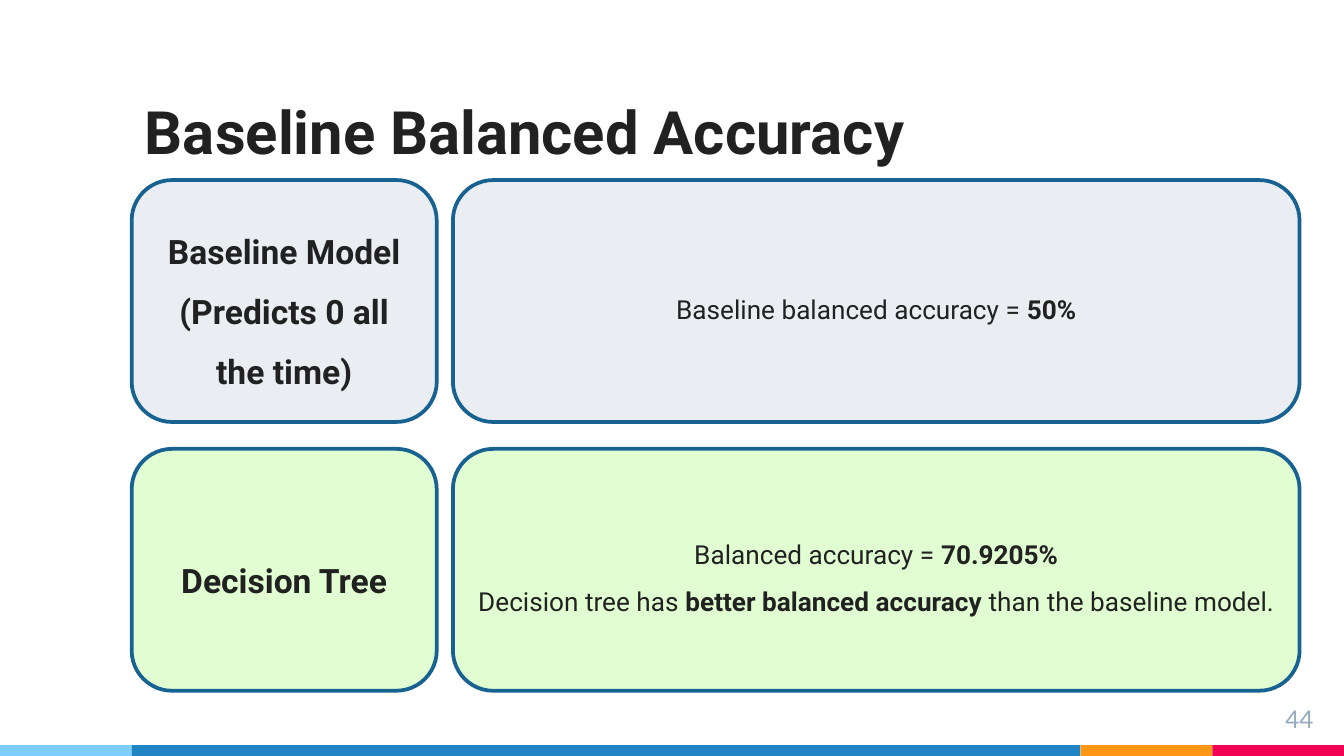
"""Build the slide comparing baseline and decision tree balanced accuracy."""
import pptx
import pptx.dml.color
import pptx.enum.shapes
import pptx.enum.text
import pptx.util
from dataclasses import dataclass


@dataclass(frozen=True)
class Theme:
    font: str = "Roboto"
    number_font: str = "Lato"
    ink: str = "212121"
    number_ink: str = "97ABBC"
    outline: str = "186292"
    baseline_fill: str = "EAEEF2"
    tree_fill: str = "E1FED2"
    stripe: tuple = ("7ECEFD", "2185C5", "FF9715", "F20253")
    title_size: int = 32
    label_size: int = 18
    body_size: int = 14
    number_size: int = 13


theme = Theme()
color = pptx.dml.color.RGBColor.from_string
inches = pptx.util.Inches
align = pptx.enum.text.PP_ALIGN
anchor = pptx.enum.text.MSO_ANCHOR
shape_kind = pptx.enum.shapes.MSO_SHAPE

slide_width = 10
slide_height = slide_width * 9 / 16
margin = 0.98
stripe_height = 0.08
columns = [(margin, 2.27), (3.37, 6.3)]
first_row, row_height, row_gap = 1.34, 1.8, 0.2

presentation = pptx.Presentation()
presentation.slide_width = inches(slide_width)
presentation.slide_height = inches(slide_height)
slide = presentation.slides.add_slide(presentation.slide_layouts[6])


def add_box(kind, left, top, width, height, fill):
    shape = slide.shapes.add_shape(kind, inches(left), inches(top), inches(width), inches(height))
    shape.shadow.inherit = False
    shape.fill.solid()
    shape.fill.fore_color.rgb = color(fill)
    shape.line.fill.background()
    return shape


def write(shape, lines, size, alignment, vertical, bold=False, spacing=1.0,
          font=theme.font, ink=theme.ink, inset=0.1):
    frame = shape.text_frame
    frame.word_wrap = True
    frame.vertical_anchor = vertical
    frame.margin_left = frame.margin_right = inches(inset)
    frame.margin_top = frame.margin_bottom = inches(inset)
    for index, pieces in enumerate(lines):
        paragraph = frame.add_paragraph() if index else frame.paragraphs[0]
        paragraph.alignment = alignment
        paragraph.line_spacing = spacing
        for position, piece in enumerate(pieces):
            run = paragraph.add_run()
            run.text = piece
            run.font.name = font
            run.font.size = pptx.util.Pt(size)
            run.font.bold = bold or position % 2 == 1
            run.font.color.rgb = color(ink)


stripe_edges = [0, margin, slide_width - 2 * margin, slide_width - margin, slide_width]
for left, right, fill in zip(stripe_edges, stripe_edges[1:], theme.stripe):
    add_box(shape_kind.RECTANGLE, left, slide_height - stripe_height, right - left, stripe_height, fill)

title = slide.shapes.add_textbox(
    inches(margin), inches(0.4), inches(slide_width - 2 * margin), inches(0.94))
write(title, [["Baseline Balanced Accuracy"]], theme.title_size, align.LEFT, anchor.BOTTOM, bold=True)

number = slide.shapes.add_textbox(inches(9.27), inches(5.14), inches(0.6), inches(0.34))
write(number, [["44"]], theme.number_size, align.RIGHT, anchor.TOP,
      font=theme.number_font, ink=theme.number_ink)

models = [
    ("Baseline Model (Predicts 0 all the time)", theme.baseline_fill,
     [["Baseline balanced accuracy = ", "50%"]]),
    ("Decision Tree", theme.tree_fill,
     [["Balanced accuracy = ", "70.9205%"],
      ["Decision tree has ", "better balanced accuracy ", "than the baseline model."]]),
]
for row, (label, fill, results) in enumerate(models):
    top = first_row + row * (row_height + row_gap)
    cells = [([[label]], theme.label_size, True), (results, theme.body_size, False)]
    for (left, width), (lines, size, bold) in zip(columns, cells):
        card = add_box(shape_kind.ROUNDED_RECTANGLE, left, top, width, row_height, fill)
        card.line.color.rgb = color(theme.outline)
        card.line.width = pptx.util.Pt(2)
        write(card, lines, size, align.CENTER, anchor.MIDDLE, bold=bold, spacing=1.5, inset=0.08)

presentation.save("out.pptx")
